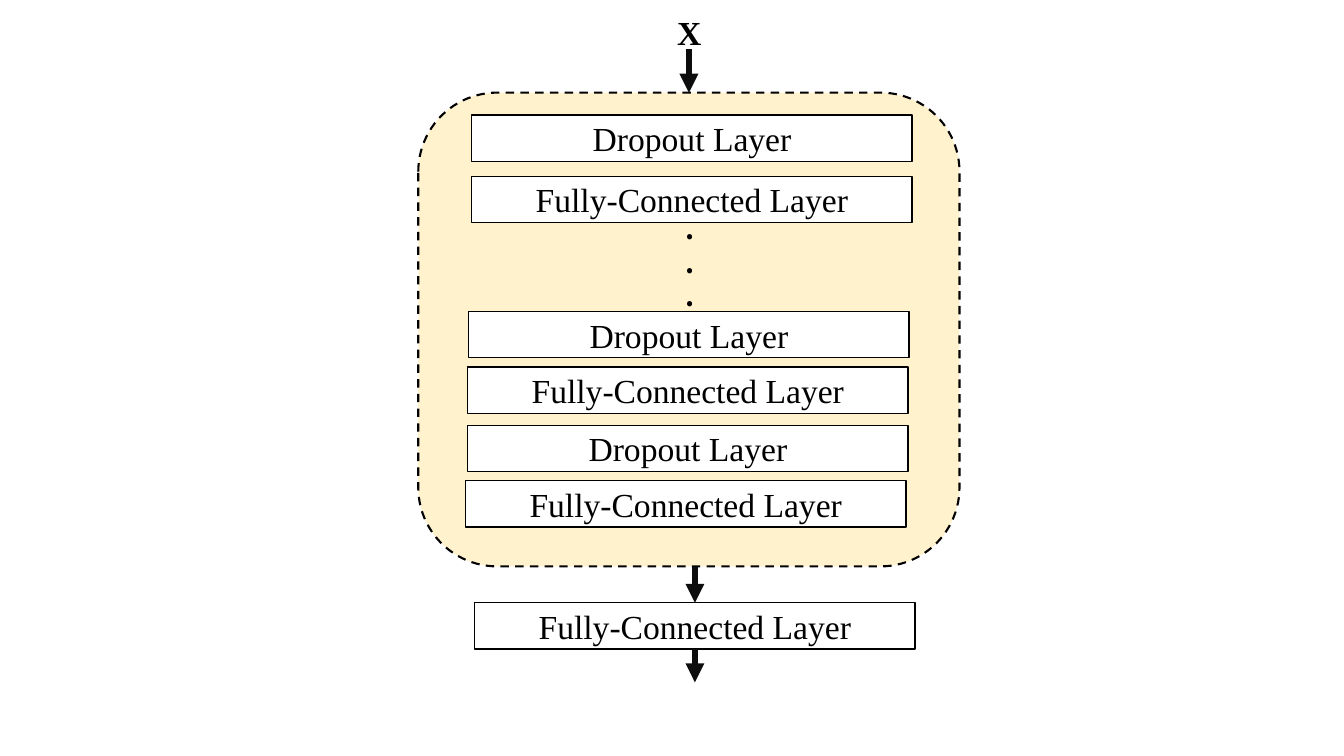
from lxml.etree import SubElement
from pptx import Presentation
from pptx.dml.color import RGBColor
from pptx.enum.dml import MSO_LINE
from pptx.enum.shapes import MSO_CONNECTOR as CONN, MSO_SHAPE as SHAPE
from pptx.enum.text import MSO_ANCHOR as ANCHOR, MSO_AUTO_SIZE as AUTO, PP_ALIGN as ALIGN
from pptx.oxml.ns import qn
from pptx.util import Pt

SERIF = "Times New Roman"
DOT_FONT = "Noto Sans CJK SC"
BLACK, WHITE, CREAM, INK = "000000", "FFFFFF", "FFF2CC", "0D0D0D"
DROPOUT, DENSE = "Dropout Layer", "Fully-Connected Layer"
LAYER_W, LAYER_H = 314.6, 33.1


def color(value):
    return RGBColor.from_string(value)


def add_run(p, text, font, size, bold=False):
    r = p.add_run()
    r.text = text
    r.font.name = font
    r.font.size = Pt(size)
    r.font.bold = bold
    r.font.color.rgb = color(BLACK)


def add_box(s, kind, x, y, w, h, fill, weight):
    sp = s.shapes.add_shape(kind, Pt(x), Pt(y), Pt(w), Pt(h))
    sp.shadow.inherit = False
    sp.fill.solid()
    sp.fill.fore_color.rgb = color(fill)
    sp.line.color.rgb = color(BLACK)
    sp.line.width = Pt(weight)
    return sp


def add_layer(s, name, x, y):
    sp = add_box(s, SHAPE.RECTANGLE, x, y, LAYER_W, LAYER_H, WHITE, 1)
    tf = sp.text_frame
    tf.vertical_anchor = ANCHOR.MIDDLE
    p = tf.paragraphs[0]
    p.alignment = ALIGN.CENTER
    add_run(p, name, SERIF, 24)
    return sp


def add_label(s, lines, x, y, w, h, font, size):
    tf = s.shapes.add_textbox(Pt(x), Pt(y), Pt(w), Pt(h)).text_frame
    tf.word_wrap = True
    tf.auto_size = AUTO.SHAPE_TO_FIT_TEXT
    for i, line in enumerate(lines):
        p = tf.add_paragraph() if i else tf.paragraphs[0]
        add_run(p, line, font, size, True)


def add_arrow(s, x, top, bottom):
    c = s.shapes.add_connector(CONN.STRAIGHT, Pt(x), Pt(top), Pt(x), Pt(bottom))
    c.line.color.rgb = color(INK)
    c.line.width = Pt(4.5)
    SubElement(c.line._get_or_add_ln(), qn("a:tailEnd"), type="triangle")
    SubElement(c._element.spPr, qn("a:effectLst"))
    return c


def add_block(s, x, y, w, h):
    block = add_box(s, SHAPE.ROUNDED_RECTANGLE, x, y, w, h, CREAM, 1.5)
    block.line.dash_style = MSO_LINE.DASH
    layers = [
        (DROPOUT, 38.2, 15.9),
        (DENSE, 38.2, 59.8),
        (DROPOUT, 36, 156.3),
        (DENSE, 35.3, 195.9),
        (DROPOUT, 35.3, 237.6),
        (DENSE, 33.8, 277.2),
    ]
    for name, dx, dy in layers:
        add_layer(s, name, x + dx, y + dy)
    add_label(s, "...", x + 183.6, y + 81.4, 26.6, 79.9, DOT_FONT, 20)
    return block


def add_input(s, block, x, y):
    add_label(s, ["X"], x - 15.5, y, 29.5, 36, SERIF, 24)
    add_arrow(s, x, y + 30.3, y + 61.2).end_connect(block, 0)


def add_output(s, x, y):
    layer = add_layer(s, DENSE, x, y)
    mid = x + LAYER_W / 2
    add_arrow(s, mid, y - 25.2, y).end_connect(layer, 0)
    bottom = y + LAYER_H
    add_arrow(s, mid, bottom, bottom + 23.8).begin_connect(layer, 2)


def main():
    prs = Presentation()
    prs.slide_width, prs.slide_height = Pt(960), Pt(540)
    s = prs.slides.add_slide(prs.slide_layouts[6])
    block = add_block(s, 298.8, 66.2, 386.6, 338.4)
    add_input(s, block, 492.1, 5)
    add_output(s, 339.1, 430.5)
    prs.save("out.pptx")


if __name__ == "__main__":
    main()
